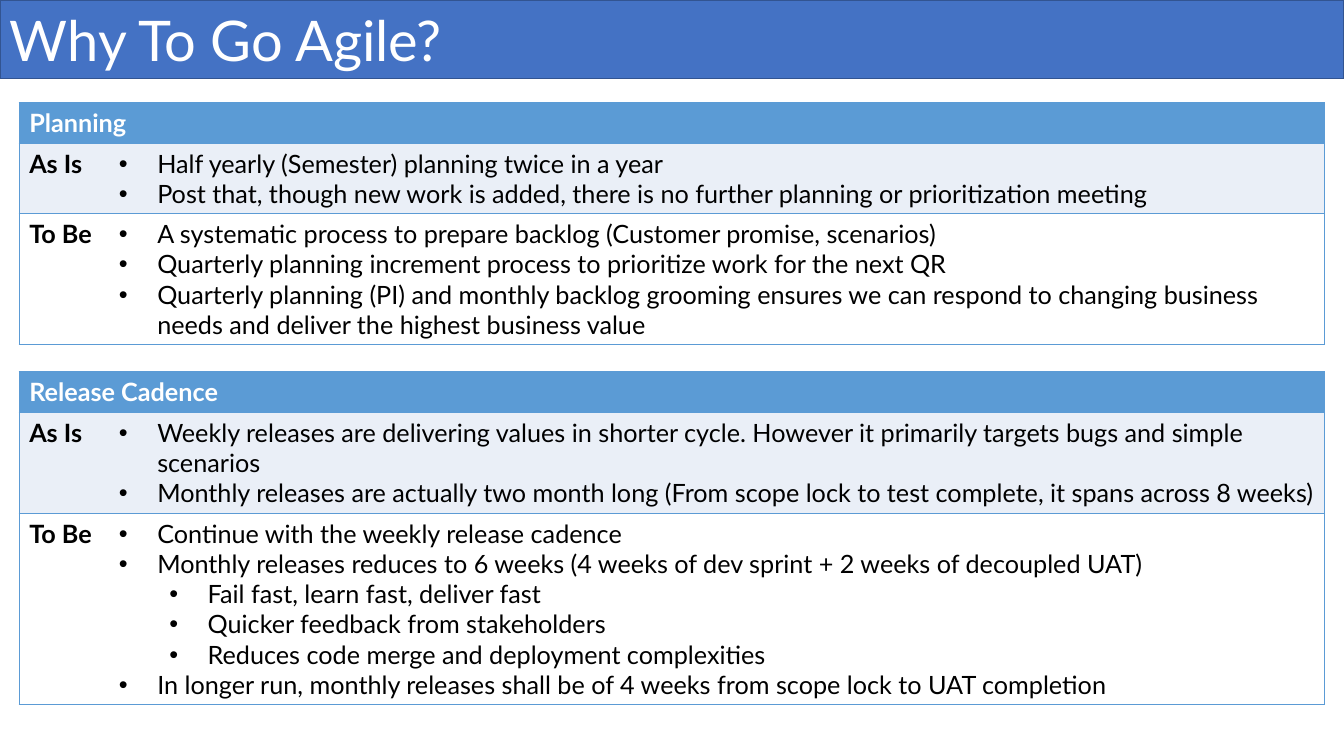
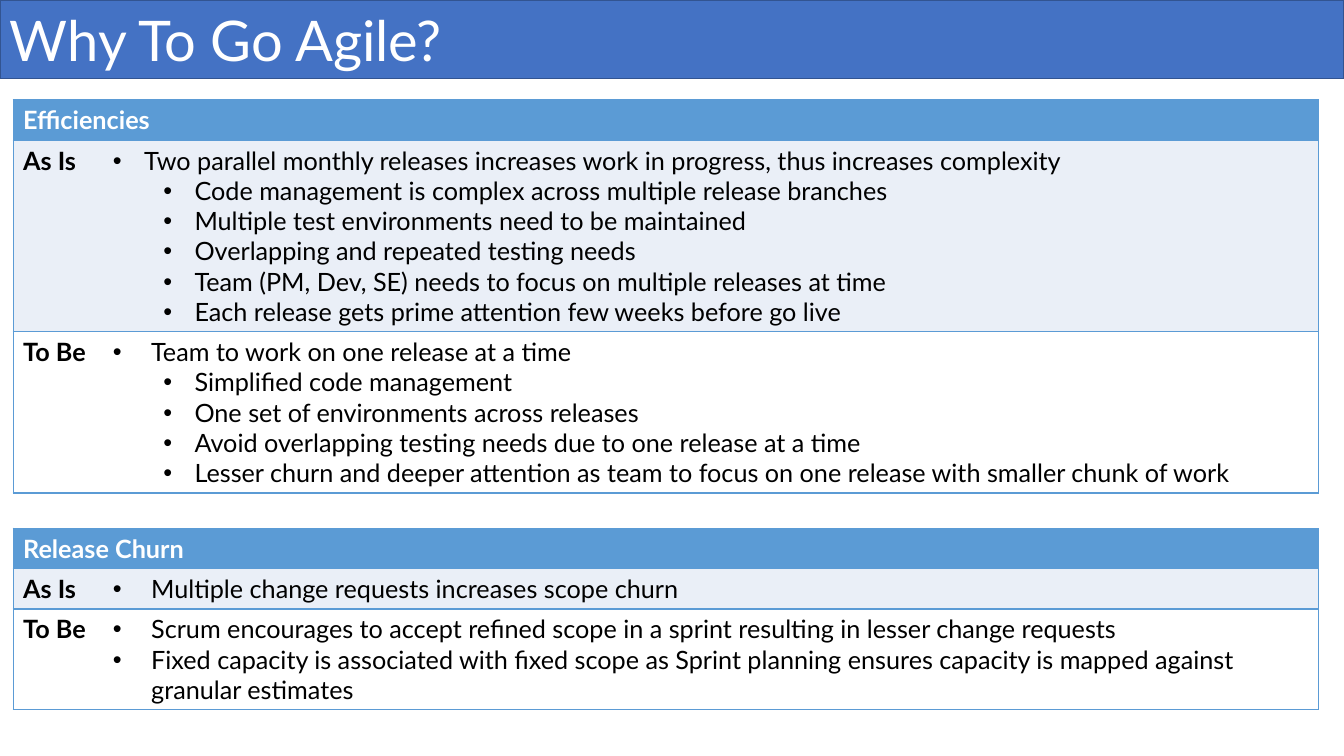
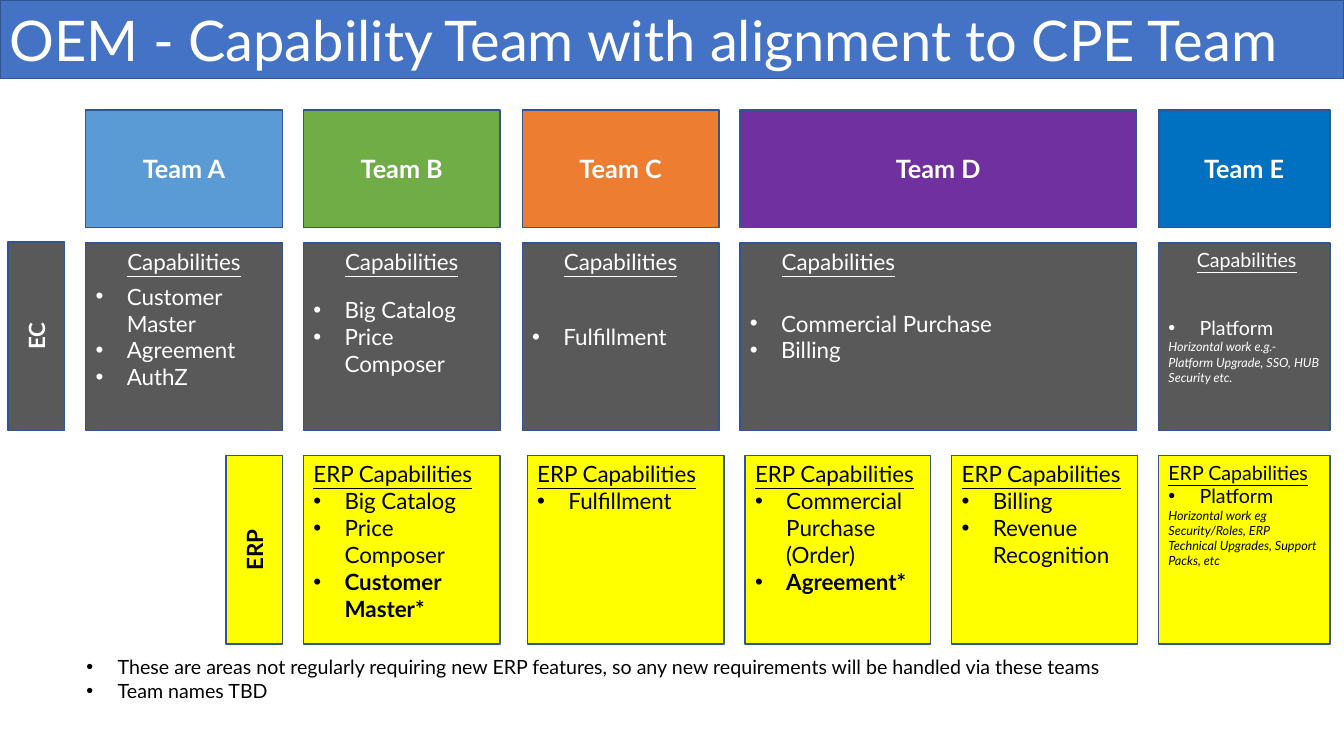
from math import ceil
from pptx import Presentation
from pptx.dml.color import RGBColor
from pptx.enum.shapes import MSO_SHAPE as Shape
from pptx.enum.text import MSO_ANCHOR as Anchor, PP_ALIGN as Align
from pptx.oxml.ns import qn
from pptx.util import Inches, Pt
from lxml.etree import SubElement

FONT = "Lato"
WHITE, BLACK, GRAY, YELLOW = "FFFFFF", "000000", "595959", "FFFF00"
BAND, EDGE, SKY, PALE = "4472C4", "325491", "5B9BD5", "EAEFF7"
WIDE, SLIM = (0, 0.38, 0.38), (0, 0.31, 0.31)
DEEP, STEP = (1, 0.88, 0.38), (1, 0.81, 0.31)
LINE, PAD = 0.3, 0.1


def rgb(code):
    """Turn a hex string into a colour."""
    return RGBColor.from_string(code)


def write(frame, text, size, color=BLACK, hang=None, align=Align.LEFT,
          bold=False, italic=False, under=False):
    """Add one paragraph, bulleted when a hang is given."""
    first = frame.paragraphs[0]
    para = frame.add_paragraph() if first.runs else first
    para.alignment = align
    if hang:
        level, left, back = hang
        para.level = level
        props = para._p.get_or_add_pPr()
        props.set("marL", str(Inches(left)))
        props.set("indent", str(-Inches(back)))
        SubElement(props, qn("a:buFont")).set("typeface", "Arial")
        SubElement(props, qn("a:buChar")).set("char", "•")
    run = para.add_run()
    run.text = text
    font = run.font
    font.name, font.size = FONT, Pt(size)
    font.bold, font.italic, font.underline = bold, italic, under
    font.color.rgb = rgb(color)


def panel(slide, left, top, width, height, fill, anchor=Anchor.MIDDLE):
    """Draw an outlined rectangle and return its text frame."""
    shape = slide.shapes.add_shape(
        Shape.RECTANGLE, Inches(left), Inches(top), Inches(width), Inches(height))
    shape.shadow.inherit = False
    shape.fill.solid()
    shape.fill.fore_color.rgb = rgb(fill)
    shape.line.color.rgb = rgb(EDGE)
    shape.line.width = Pt(1)
    frame = shape.text_frame
    frame.word_wrap = True
    frame.vertical_anchor = anchor
    return frame


def label(slide, left, top, width, height):
    """Add a wrapping text box and return its frame."""
    box = slide.shapes.add_textbox(
        Inches(left), Inches(top), Inches(width), Inches(height))
    box.text_frame.word_wrap = True
    return box.text_frame


def start(deck, title):
    """Add a blank slide with the title band."""
    slide = deck.slides.add_slide(deck.slide_layouts[6])
    write(panel(slide, 0, 0, 13.33, 0.78, BAND), title, 40, WHITE)
    return slide


def paint(cell, fill, edges):
    """Fill a cell and rule the named edges."""
    props = cell._tc.get_or_add_tcPr()
    for side in "LRTB":
        line = SubElement(props, qn(f"a:ln{side}"))
        if side in edges:
            line.set("w", str(Pt(1)))
            solid = SubElement(line, qn("a:solidFill"))
            SubElement(solid, qn("a:srgbClr")).set("val", SKY)
        else:
            SubElement(line, qn("a:noFill"))
    cell.fill.solid()
    cell.fill.fore_color.rgb = rgb(fill)


def compare(slide, left, top, head, now, goal):
    """Draw an As Is / To Be table."""
    rows = [[(hang, text) for hang, *texts in part for text in texts]
            for part in (now, goal)]
    lines = [1] + [sum(ceil(len(text) / 105) for _, text in row) for row in rows]
    sizes = [PAD + LINE * count for count in lines]
    table = slide.shapes.add_table(
        3, 2, Inches(left), Inches(top), Inches(12.95), Inches(sum(sizes))).table
    table.horz_banding = False
    for col, width in zip(table.columns, (0.89, 12.06)):
        col.width = Inches(width)
    for row, size, fill in zip(table.rows, sizes, (SKY, PALE, WHITE)):
        row.height = Inches(size)
        for cell, edges in zip(row.cells, ("LTB", "RTB")):
            paint(cell, fill, edges)
    table.cell(0, 0).merge(table.cell(0, 1))
    write(table.cell(0, 0).text_frame, head, 18, WHITE, bold=True)
    for at, (name, row) in enumerate(zip(("As Is", "To Be"), rows), 1):
        write(table.cell(at, 0).text_frame, name, 18, bold=True)
        for hang, text in row:
            write(table.cell(at, 1).text_frame, text, 18, hang=hang)


def bullets(frame, items, size, color, note):
    """List the capabilities, starred ones bold, with a small note."""
    for item in items:
        write(frame, item, size, color, SLIM, bold=item.endswith("*"))
    if note:
        write(frame, note, 9, color, italic=True)


def team(slide, left, width, name, fill, items, size=16, note="", shift=0):
    """Draw a team header over its capabilities."""
    write(panel(slide, left, 1.09, width, 1.17, fill), name, 18, WHITE,
          align=Align.CENTER, bold=True)
    body = panel(slide, left, 2.41, width, 1.86, GRAY)
    if note:
        body.margin_top = Inches(0.32)
    bullets(body, items, size, WHITE, note)
    write(label(slide, left + shift, 2.41, 1.95, 0.37), "Capabilities", size,
          WHITE, align=Align.CENTER, under=True)


def card(slide, left, width, items, size=16, note=""):
    """Draw a yellow capability card."""
    frame = panel(slide, left, 4.52, width, 1.87, YELLOW, Anchor.TOP)
    write(frame, "ERP Capabilities", size, under=True)
    bullets(frame, items, size, BLACK, note)


def tab(slide, left, top, name, fill, color):
    """Draw a row label that reads upwards."""
    frame = panel(slide, left, top, 0.56, 1.87, fill)
    frame._txBody.bodyPr.set("vert", "vert270")
    write(frame, name, 16, color, align=Align.CENTER, bold=True)


def plans(deck):
    """Build the planning and cadence slide."""
    slide = start(deck, "Why To Go Agile?")
    compare(slide, 0.19, 1.02, "Planning", [
        (WIDE, "Half yearly (Semester) planning twice in a year",
         "Post that, though new work is added, there is no further planning or prioritization meeting"),
    ], [
        (WIDE, "A systematic process to prepare backlog (Customer promise, scenarios)",
         "Quarterly planning increment process to prioritize work for the next QR",
         "Quarterly planning (PI) and monthly backlog grooming ensures we can respond to changing "
         "business needs and deliver the highest business value"),
    ])
    compare(slide, 0.19, 3.69, "Release Cadence", [
        (WIDE, "Weekly releases are delivering values in shorter cycle. However it primarily "
         "targets bugs and simple scenarios",
         "Monthly releases are actually two month long (From scope lock to test complete, "
         "it spans across 8 weeks)"),
    ], [
        (WIDE, "Continue with the weekly release cadence",
         "Monthly releases reduces to 6 weeks (4 weeks of dev sprint + 2 weeks of decoupled UAT)"),
        (DEEP, "Fail fast, learn fast, deliver fast",
         "Quicker feedback from stakeholders",
         "Reduces code merge and deployment complexities"),
        (WIDE, "In longer run, monthly releases shall be of 4 weeks from scope lock to UAT completion"),
    ])


def gains(deck):
    """Build the efficiencies and churn slide."""
    slide = start(deck, "Why To Go Agile?")
    compare(slide, 0.13, 0.99, "Efficiencies", [
        (SLIM, "Two parallel monthly releases increases work in progress, thus increases complexity"),
        (STEP, "Code management is complex across multiple release branches",
         "Multiple test environments need to be maintained",
         "Overlapping and repeated testing needs",
         "Team (PM, Dev, SE) needs to focus on multiple releases at time",
         "Each release gets prime attention few weeks before go live"),
    ], [
        (WIDE, "Team to work on one release at a time"),
        (STEP, "Simplified code management",
         "One set of environments across releases",
         "Avoid overlapping testing needs due to one release at a time",
         "Lesser churn and deeper attention as team to focus on one release with smaller chunk of work"),
    ])
    compare(slide, 0.13, 5.24, "Release Churn", [
        (WIDE, "Multiple change requests increases scope churn"),
    ], [
        (WIDE, "Scrum encourages to accept refined scope in a sprint resulting in lesser change requests",
         "Fixed capacity is associated with fixed scope as Sprint planning ensures capacity is "
         "mapped against granular estimates"),
    ])


def teams(deck):
    """Build the capability team slide."""
    slide = start(deck, "OEM - Capability Team with alignment to CPE Team")
    tab(slide, 0.08, 2.4, "EC", GRAY, WHITE)
    team(slide, 0.85, 1.95, "Team A", SKY, ["Customer Master", "Agreement", "AuthZ"])
    team(slide, 3.01, 1.95, "Team B", "70AD47", ["Big Catalog", "Price Composer"])
    team(slide, 5.18, 1.95, "Team C", "ED7D31", ["Fulfillment"])
    team(slide, 7.34, 3.93, "Team D", "7030A0", ["Commercial Purchase", "Billing"])
    team(slide, 11.49, 1.7, "Team E", "0070C0", ["Platform"], 14,
         "Horizontal work e.g.- Platform Upgrade, SSO, HUB Security etc.", -0.1)
    tab(slide, 2.24, 4.52, "ERP", YELLOW, BLACK)
    card(slide, 3.01, 1.95, ["Big Catalog", "Price Composer", "Customer Master*"])
    card(slide, 5.23, 1.95, ["Fulfillment"])
    card(slide, 7.39, 1.84, ["Commercial Purchase (Order)", "Agreement*"])
    card(slide, 9.44, 1.84, ["Billing", "Revenue Recognition"])
    card(slide, 11.49, 1.7, ["Platform"], 14,
         "Horizontal work eg Security/Roles, ERP Technical Upgrades, Support Packs, etc")
    bullets(label(slide, 0.76, 6.45, 11.16, 0.57), [
        "These are areas not regularly requiring new ERP features, so any new requirements "
        "will be handled via these teams",
        "Team names TBD"], 14, BLACK, "")


def main():
    """Build and save the deck."""
    deck = Presentation()
    deck.slide_width, deck.slide_height = Inches(13.33), Inches(7.5)
    for build in (plans, gains, teams):
        build(deck)
    deck.save("out.pptx")


if __name__ == "__main__":
    main()
